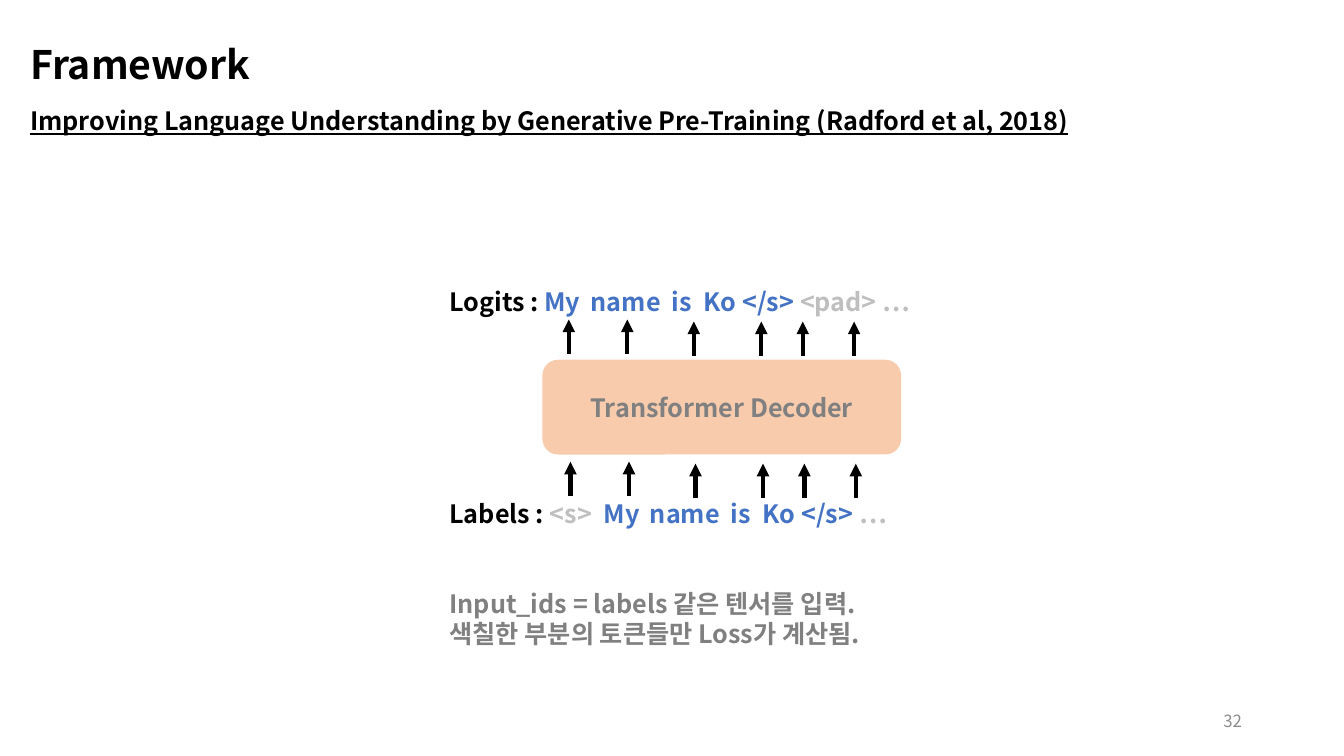
from lxml.etree import SubElement
from pptx import Presentation
from pptx.dml.color import RGBColor
from pptx.enum.shapes import MSO_CONNECTOR as Connector, MSO_SHAPE as Shape
from pptx.enum.text import MSO_ANCHOR as Anchor, PP_ALIGN as Align
from pptx.oxml.ns import qn
from pptx.util import Pt

FONT = "Noto Sans CJK KR"
BLACK, BLUE, PALE, GRAY = "000000", "4472C4", "BFBFBF", "808080"
LINE = 21.7
ARROW_XS = (407.5, 449.3, 496.8, 545, 574.6, 611.3)
ARROW_LIFTS = (1.4, 1.4, 0, 0, 0, 0)


def color(value):
    return RGBColor.from_string(value)


def add_span(para, text, size=18, fill=BLACK, bold=True, underline=False):
    span = para.add_run()
    span.text = text
    font = span.font
    font.name, font.size, font.bold = FONT, Pt(size), bold
    if underline:
        font.underline = True
    font.color.rgb = color(fill)
    SubElement(font._element, qn("a:ea"), typeface=FONT)


def add_tabs(para, stops):
    tab_list = SubElement(para._p.get_or_add_pPr(), qn("a:tabLst"))
    for stop in stops:
        SubElement(tab_list, qn("a:tab"), pos=str(Pt(stop)), algn="l")


def add_box(page, left, top, width, height, anchor=Anchor.TOP):
    box = page.shapes.add_textbox(Pt(left), Pt(top), Pt(width), Pt(height))
    box.text_frame.word_wrap = True
    box.text_frame.vertical_anchor = anchor
    return box.text_frame


def fill_para(para, spans, before=0, stops=()):
    para.line_spacing = Pt(LINE)
    if before:
        para.space_before = Pt(before)
    if stops:
        add_tabs(para, stops)
    for text, fill in spans:
        add_span(para, text, fill=fill)


def add_notes_on_tokens(page):
    frame = add_box(page, 313.9, 200.9, 432.7, 269.3)
    fill_para(frame.paragraphs[0], [
        ("Logits : ", BLACK), ("My\tname\tis\tKo </s> ", BLUE), ("<pad> …", PALE),
    ], stops=(101, 159, 181.8))
    fill_para(frame.add_paragraph(), [
        ("Labels : ", BLACK), ("<s>\t", PALE),
        ("My\tname\tis\tKo </s> ", BLUE), ("…", PALE),
    ], before=129.7, stops=(110.2, 143.2, 201, 224))
    fill_para(frame.add_paragraph(),
              [("Input_ids = labels 같은 텐서를 입력.", GRAY)], before=42.6)
    fill_para(frame.add_paragraph(),
              [("색칠한 부분의 토큰들만 Loss가 계산됨.", GRAY)])


def add_decoder(page):
    decoder = page.shapes.add_shape(
        Shape.ROUNDED_RECTANGLE, Pt(387.4), Pt(257), Pt(256.3), Pt(67.7))
    decoder.shadow.inherit = False
    decoder.fill.solid()
    decoder.fill.fore_color.rgb = color("F8CBAD")
    decoder.line.fill.background()
    decoder.text_frame.vertical_anchor = Anchor.MIDDLE
    para = decoder.text_frame.paragraphs[0]
    para.alignment = Align.CENTER
    add_span(para, "Transformer Decoder", fill=GRAY)


def add_arrow(page, x, bottom, length=24.5):
    arrow = page.shapes.add_connector(
        Connector.STRAIGHT, Pt(x), Pt(bottom), Pt(x), Pt(bottom - length))
    arrow.line.color.rgb = color(BLACK)
    arrow.line.width = Pt(3)
    SubElement(arrow.line._get_or_add_ln(), qn("a:tailEnd"), type="triangle")
    SubElement(arrow._element.spPr, qn("a:effectLst"))


def add_arrow_row(page, bottom, shift=0):
    for x, lift in zip(ARROW_XS, ARROW_LIFTS):
        add_arrow(page, x + shift, bottom - lift)


def main():
    deck = Presentation()
    deck.slide_width, deck.slide_height = Pt(960), Pt(540)
    page = deck.slides.add_slide(deck.slide_layouts[6])

    title = add_box(page, 14.4, 11.6, 704.9, 54.7, Anchor.BOTTOM)
    add_span(title.paragraphs[0], "Framework", size=28)

    subtitle = add_box(page, 14.4, 71.3, 770.4, 51.1).paragraphs[0]
    subtitle.line_spacing = Pt(LINE)
    add_span(subtitle, "Improving Language Understanding by Generative "
             "Pre-Training (Radford et al, 2018)", underline=True)

    number = add_box(page, 678.2, 500.4, 216, 28.8, Anchor.MIDDLE).paragraphs[0]
    number.alignment = Align.RIGHT
    add_span(number, "32", size=12, fill="8C8C8C", bold=False)

    add_notes_on_tokens(page)
    add_decoder(page)
    add_arrow_row(page, 355.7)
    add_arrow_row(page, 254.2, shift=-1.2)
    deck.save("out.pptx")


if __name__ == "__main__":
    main()
